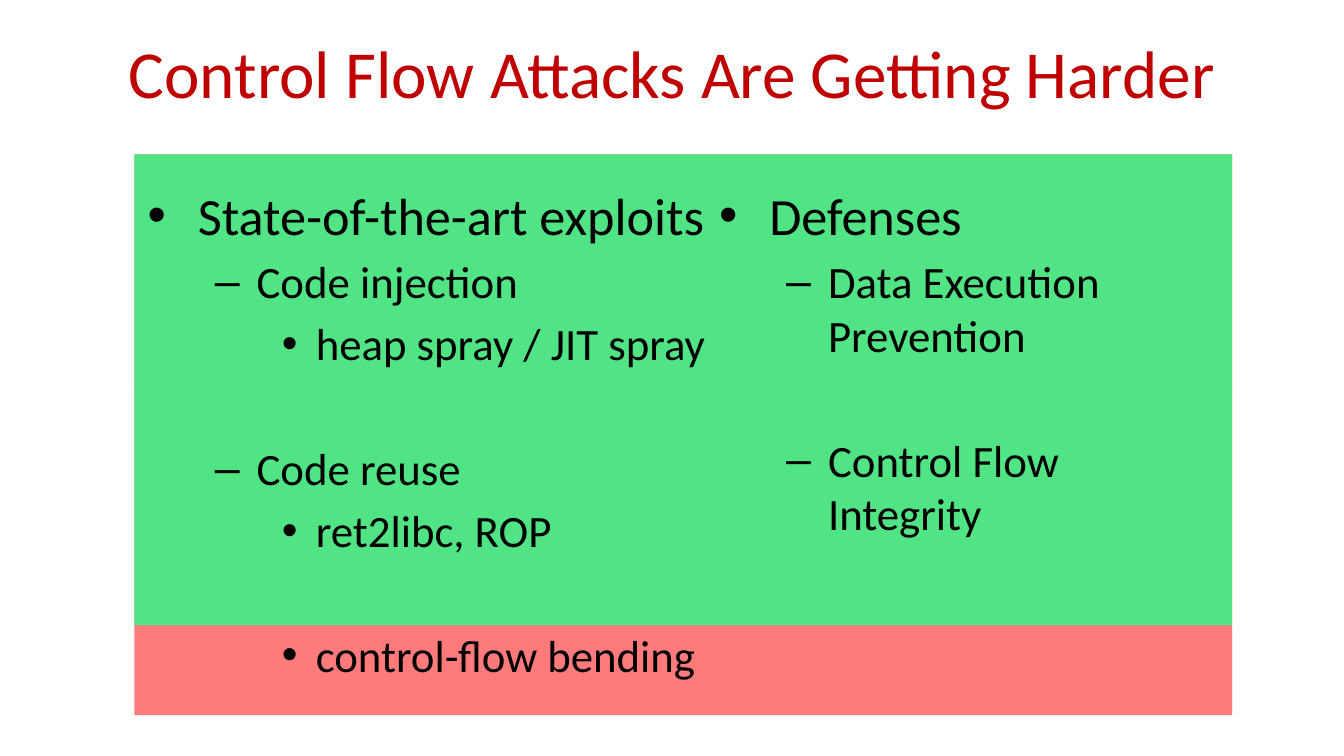
from dataclasses import dataclass

from lxml.etree import SubElement
from pptx import Presentation
from pptx.dml.color import RGBColor
from pptx.enum.shapes import MSO_SHAPE
from pptx.enum.text import MSO_ANCHOR, PP_ALIGN
from pptx.oxml.ns import qn
from pptx.util import Cm, Pt


@dataclass(frozen=True)
class Theme:
    font: str = "Calibri"
    title_color: RGBColor = RGBColor(0xC0, 0x00, 0x00)
    text_color: RGBColor = RGBColor(0x00, 0x00, 0x00)
    attack_color: RGBColor = RGBColor(0xFF, 0x5B, 0x5B)
    defense_color: RGBColor = RGBColor(0x25, 0xFF, 0x88)
    title_size: Pt = Pt(36)
    level_sizes: tuple = (Pt(28), Pt(24), Pt(24))


theme = Theme()

# Bullet, text indent and bullet offset for each outline level
LEVELS = [("•", Cm(0.95), Cm(-0.95)), ("–", Cm(2.06), Cm(-0.79)), ("•", Cm(3.18), Cm(-0.64))]
FIRST, NORMAL, GAP = Pt(2), Pt(4.5), Pt(38)


def format_run(run, size, color):
    run.font.name = theme.font
    run.font.size = size
    run.font.color.rgb = color


def add_outline(slide, left, top, width, height, items):
    """Add a bulleted text box from (level, space before, text) items."""
    text_frame = slide.shapes.add_textbox(left, top, width, height).text_frame
    text_frame.word_wrap = True
    text_frame.text = "\n".join(text for _, _, text in items)
    for paragraph, (level, space, _) in zip(text_frame.paragraphs, items):
        bullet, indent, offset = LEVELS[level]
        paragraph.level = level
        paragraph.space_before = space
        format_run(paragraph.runs[0], theme.level_sizes[level], theme.text_color)
        properties = paragraph._p.get_or_add_pPr()
        properties.set("marL", str(indent))
        properties.set("indent", str(offset))
        SubElement(properties, qn("a:buFont"), typeface="Arial")
        SubElement(properties, qn("a:buChar"), char=bullet)


presentation = Presentation()
presentation.slide_width = Cm(25.4)
presentation.slide_height = Cm(14.29)
slide = presentation.slides.add_slide(presentation.slide_layouts[5])

# Attack bands, each covered by the defense that stops it
band_left, band_width, band_height = Cm(2.54), Cm(20.75), Cm(4.45)
first_top = Cm(2.92)
second_top = first_top + band_height
bands = [
    (second_top, Cm(6.15), theme.attack_color),
    (second_top, band_height, theme.defense_color),
    (first_top, band_height, theme.attack_color),
    (first_top, band_height, theme.defense_color),
]
for top, height, color in bands:
    band = slide.shapes.add_shape(MSO_SHAPE.RECTANGLE, band_left, top, band_width, height)
    band.shadow.inherit = False
    band.line.fill.background()
    band.fill.solid()
    band.fill.fore_color.rgb = color
    color_element = band._element.spPr.find(qn("a:solidFill"))[0]
    SubElement(color_element, qn("a:alpha"), val="80000")

title = slide.shapes.title
title.left, title.top, title.width, title.height = Cm(1.27), Cm(0.15), Cm(22.86), Cm(2.39)
title.text_frame.text = "Control Flow Attacks Are Getting Harder"
title.text_frame.vertical_anchor = MSO_ANCHOR.MIDDLE
title_paragraph = title.text_frame.paragraphs[0]
title_paragraph.alignment = PP_ALIGN.CENTER
format_run(title_paragraph.runs[0], theme.title_size, theme.title_color)

outline_top = Cm(3.33)
add_outline(slide, band_left, outline_top, Cm(12.07), Cm(10.36), [
    (0, FIRST, "State-of-the-art exploits"),
    (1, NORMAL, "Code injection"),
    (2, NORMAL, "heap spray / JIT spray"),
    (1, GAP, "Code reuse"),
    (2, NORMAL, "ret2libc, ROP"),
    (2, GAP, "control-flow bending"),
])
add_outline(slide, Cm(13.34), outline_top, Cm(9.73), Cm(9.42), [
    (0, FIRST, "Defenses"),
    (1, NORMAL, "Data Execution Prevention"),
    (1, GAP, "Control Flow Integrity"),
])

presentation.save("out.pptx")
